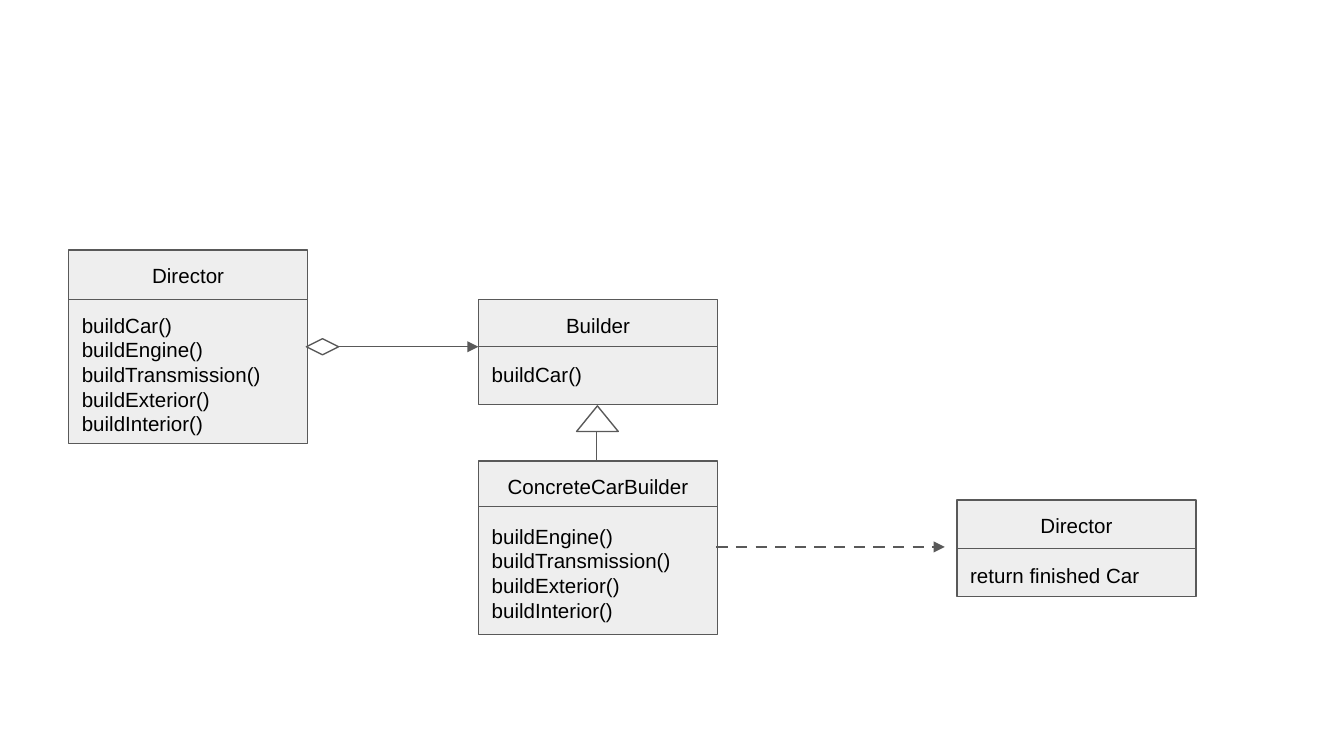
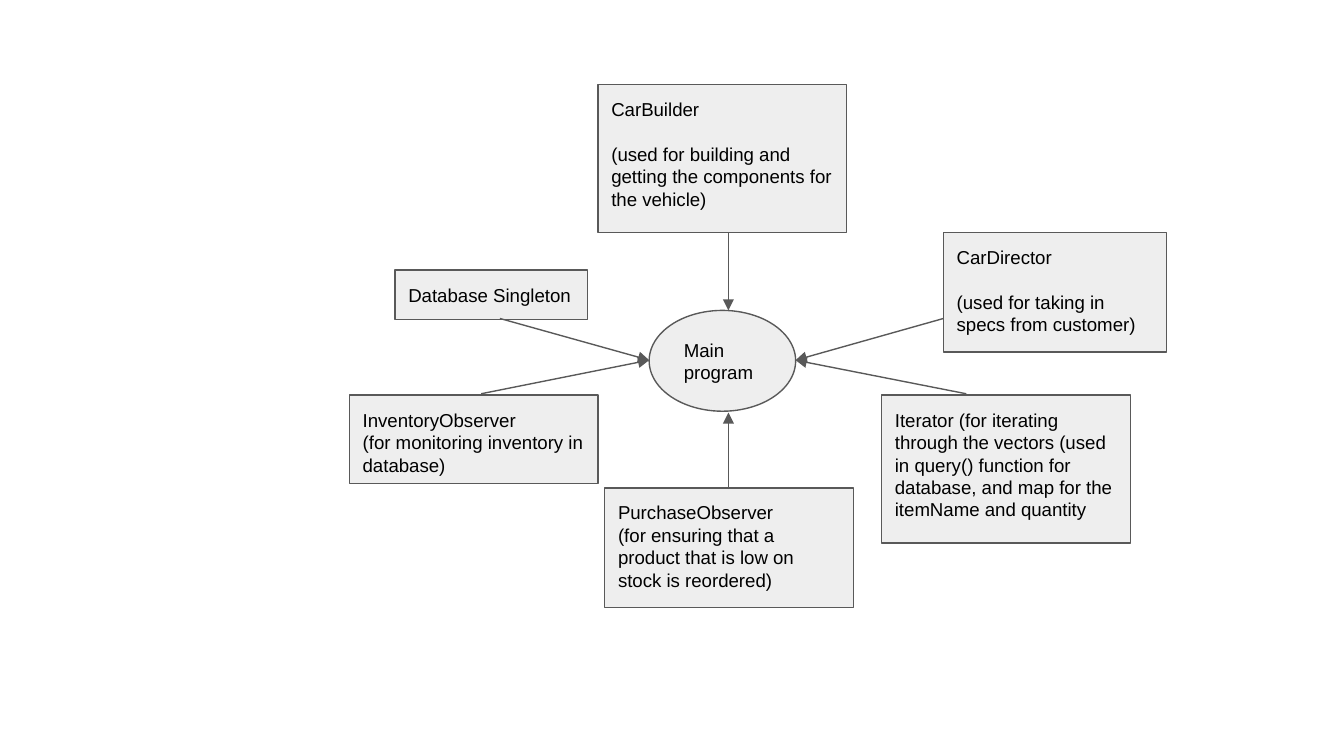
from dataclasses import dataclass
from lxml import etree
from pptx import Presentation
from pptx import util as u
from pptx.dml.color import RGBColor
from pptx.enum import dml, shapes, text
from pptx.oxml import ns


@dataclass(frozen=True)
class Theme:
    font: str = "Arial"
    ink: str = "000000"
    fill: str = "EEEEEE"
    edge: str = "595959"
    thin: float = 0.75
    thick: float = 1.5
    large: int = 11
    small: int = 10
    lead: float = 1.2


theme = Theme()
deck = Presentation()
deck.slide_width = u.Inches(10)
deck.slide_height = u.Inches(5.625)
cell = deck.slide_width // 100
kinds = shapes.MSO_SHAPE
left, mid = text.PP_ALIGN.LEFT, text.PP_ALIGN.CENTER


def write(lines, slide, at, kind=kinds.RECTANGLE, size=theme.small,
          head=left, gap=False, fill=theme.fill, anchor=text.MSO_ANCHOR.TOP):
    shape = slide.shapes.add_shape(kind, *[round(n * cell) for n in at])
    shape.shadow.inherit = False
    if fill:
        shape.fill.solid()
        shape.fill.fore_color.rgb = RGBColor.from_string(fill)
    else:
        shape.fill.background()
    shape.line.color.rgb = RGBColor.from_string(theme.edge)
    shape.line.width = u.Pt(theme.thin)
    frame = shape.text_frame
    frame.word_wrap = True
    frame.vertical_anchor = anchor
    frame.margin_left = frame.margin_right = cell
    frame.margin_top = frame.margin_bottom = cell
    for i, line in enumerate(lines):
        para = frame.add_paragraph() if i else frame.paragraphs[0]
        para.alignment = left if i else head
        if gap and i == 1:
            para.space_before = u.Pt(size * theme.lead)
        run = para.add_run()
        run.text = line
        run.font.name = theme.font
        run.font.size = u.Pt(size)
        run.font.color.rgb = RGBColor.from_string(theme.ink)


def link(slide, ends, arrow=True, dash=False):
    wire = slide.shapes.add_connector(
        shapes.MSO_CONNECTOR.STRAIGHT, *[round(n * cell) for n in ends])
    wire.line.color.rgb = RGBColor.from_string(theme.edge)
    wire.line.width = u.Pt(theme.thick if dash else theme.thin)
    if dash:
        wire.line.dash_style = dml.MSO_LINE.DASH
    if arrow:
        tip = etree.SubElement(wire.line._get_or_add_ln(), ns.qn("a:tailEnd"))
        tip.set("type", "triangle")
    etree.SubElement(wire._element.spPr, ns.qn("a:effectLst"))


blank = deck.slide_layouts[6]
uml = deck.slides.add_slide(blank)
wide = 17.8
parts = ["buildEngine()", "buildTransmission()", "buildExterior()", "buildInterior()"]
classes = [
    (5.1, 18.6, 14.4, 3.7, ["Director", "buildCar()", *parts]),
    (35.6, 22.3, 7.8, 3.5, ["Builder", "buildCar()"]),
    (35.6, 34.3, 12.9, 3.4, ["ConcreteCarBuilder", *parts]),
    (71.2, 37.2, 7.2, 3.6, ["Director", "return finished Car"]),
]
for x, y, high, split, lines in classes:
    write(lines, uml, (x, y, wide, high), size=theme.large, head=mid, gap=True)
    link(uml, (x + wide, y + split, x, y + split), arrow=False)

write([], uml, (42.9, 30.2, 3.1, 1.9), kind=kinds.ISOSCELES_TRIANGLE, fill=None)
write([], uml, (22.8, 25.2, 2.4, 1.2), kind=kinds.DIAMOND, fill=None)
link(uml, (44.4, 32.1, 44.4, 34.3), arrow=False)
link(uml, (25.2, 25.8, 35.6, 25.8))
link(uml, (53.3, 40.7, 70.3, 40.7), dash=True)

hub = deck.slides.add_slide(blank)
write(["Main program"], hub, (48.3, 23.1, 10.9, 7.5), kind=kinds.OVAL,
      anchor=text.MSO_ANCHOR.MIDDLE)
notes = [
    ((29.4, 20.1, 14.3, 3.7), False, ["Database Singleton"]),
    ((26, 29.4, 18.5, 6.6), False,
     ["InventoryObserver", "(for monitoring inventory in database)"]),
    ((45, 36.3, 18.5, 8.9), False,
     ["PurchaseObserver",
      "(for ensuring that a product that is low on stock is reordered)"]),
    ((65.6, 29.4, 18.5, 11), False,
     ["Iterator (for iterating through the vectors (used in query() function "
      "for database, and map for the itemName and quantity"]),
    ((70.2, 17.3, 16.6, 8.9), True,
     ["CarDirector", "(used for taking in specs from customer)"]),
    ((44.5, 6.3, 18.5, 11), True,
     ["CarBuilder",
      "(used for building and getting the components for the vehicle)"]),
]
for at, gap, lines in notes:
    write(lines, hub, at, gap=gap)

west, east, pole, level = 48.3, 59.2, 54.2, 26.8
for ends in [
    (37.2, 23.7, west, level),
    (35.8, 29.3, west, level),
    (pole, 36.4, pole, 30.7),
    (pole, 17.3, pole, 23.1),
    (71.9, 29.3, east, level),
    (70.2, 23.7, east, level),
]:
    link(hub, ends)

deck.save("out.pptx")
